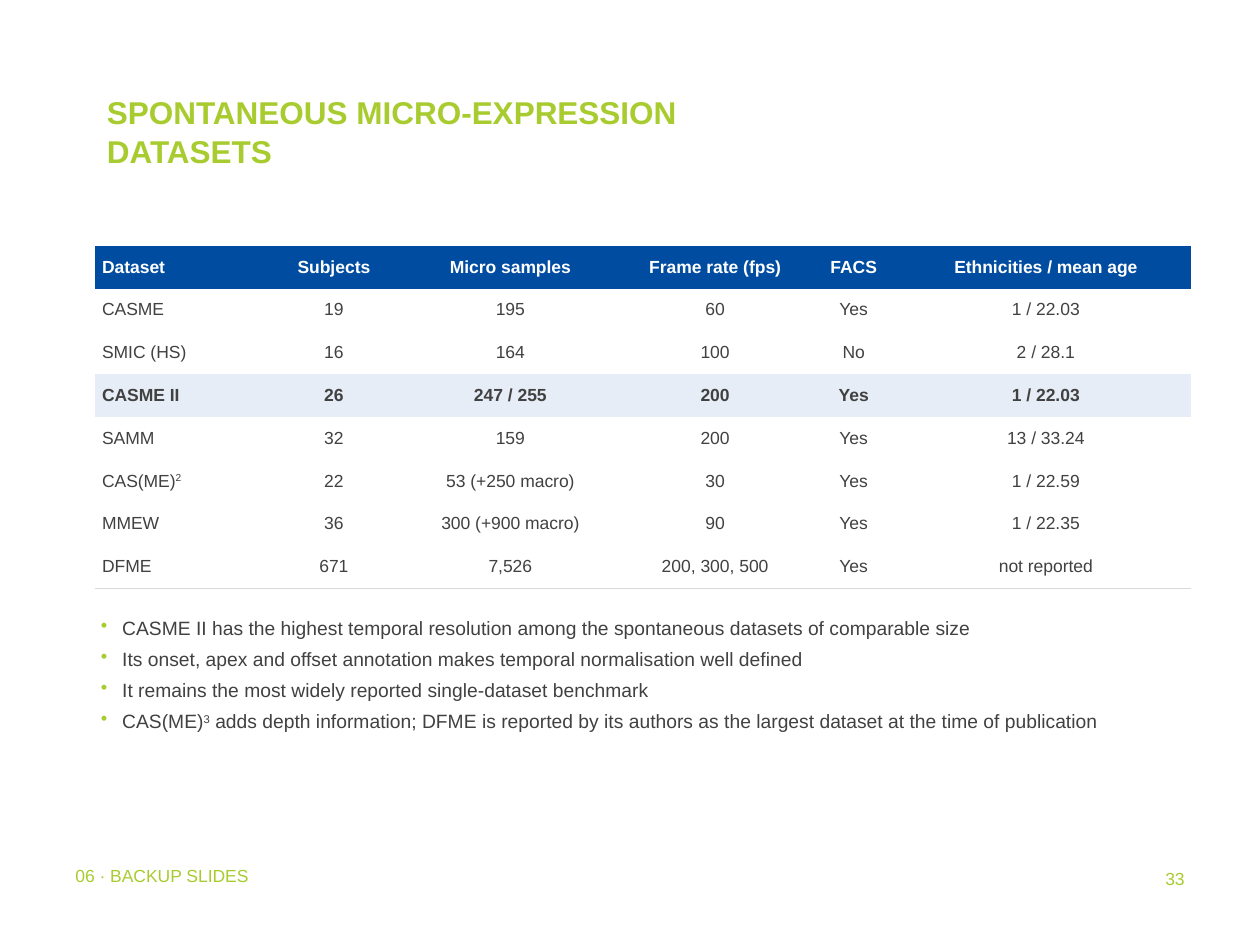
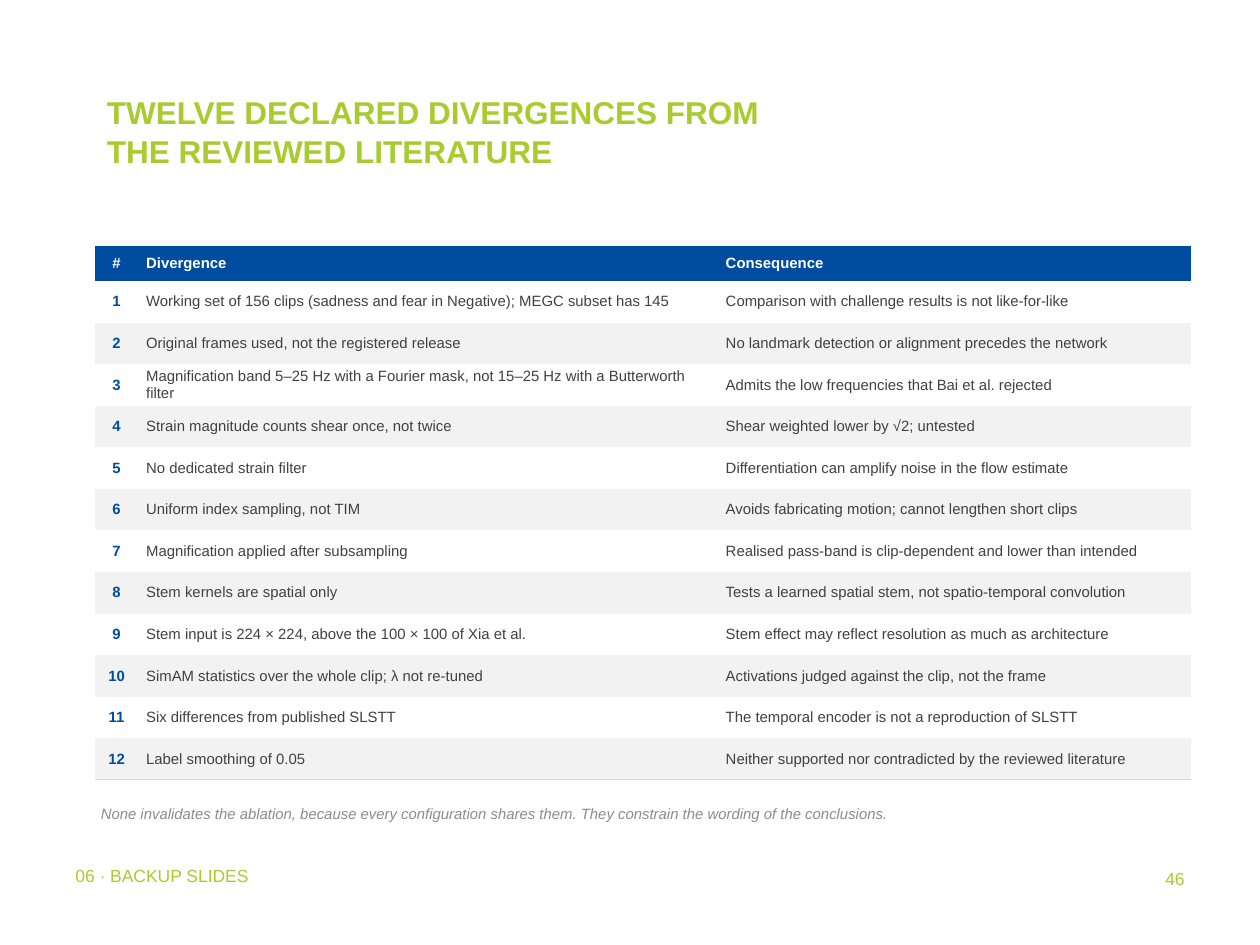
import pptx
import pptx.dml.color
import pptx.enum.text
import pptx.oxml
import pptx.oxml.ns
import pptx.util

Inches, Pt = pptx.util.Inches, pptx.util.Pt
ALIGN = {"l": pptx.enum.text.PP_ALIGN.LEFT,
         "c": pptx.enum.text.PP_ALIGN.CENTER,
         "r": pptx.enum.text.PP_ALIGN.RIGHT}
MIDDLE = pptx.enum.text.MSO_ANCHOR.MIDDLE

FONT = "Arial"
GREEN, BLUE, INK, GREY = "A8CC2F", "004CA0", "414141", "8C8C8C"
WHITE, HIGHLIGHT, BAND, RULE = "FFFFFF", "E6EDF6", "F2F2F2", "D9D9D9"
PLAIN_TABLE = "{2D5ABB26-0587-4C30-8999-92F81FD0307C}"

LEFT, WIDTH, TABLE_TOP = 0.75, 8.7, 1.95
FOOTER = "06 · BACKUP SLIDES"

# A tuple holds the runs of one paragraph; a run that starts with ^ is raised.
DATASETS = {
    "title": "SPONTANEOUS MICRO-EXPRESSION DATASETS",
    "page": "33",
    "cols": [1.4, 1, 1.8, 1.45, 0.75, 2.3],
    "aligns": "lccccc",
    "rows": [
        ("Dataset", "Subjects", "Micro samples", "Frame rate (fps)", "FACS",
         "Ethnicities / mean age"),
        ("CASME", "19", "195", "60", "Yes", "1 / 22.03"),
        ("SMIC (HS)", "16", "164", "100", "No", "2 / 28.1"),
        ("CASME II", "26", "247 / 255", "200", "Yes", "1 / 22.03"),
        ("SAMM", "32", "159", "200", "Yes", "13 / 33.24"),
        (("CAS(ME)", "^2"), "22", "53 (+250 macro)", "30", "Yes", "1 / 22.59"),
        ("MMEW", "36", "300 (+900 macro)", "90", "Yes", "1 / 22.35"),
        ("DFME", "671", "7,526", "200, 300, 500", "Yes", "not reported"),
    ],
    "notes": [
        "CASME II has the highest temporal resolution among the spontaneous "
        "datasets of comparable size",
        "Its onset, apex and offset annotation makes temporal normalisation well defined",
        "It remains the most widely reported single-dataset benchmark",
        ("CAS(ME)", "^3", " adds depth information; DFME is reported by its authors "
                          "as the largest dataset at the time of publication"),
    ],
}
CHOSEN_DATASET = "CASME II"

DIVERGENCES = {
    "title": "TWELVE DECLARED DIVERGENCES FROM THE REVIEWED LITERATURE",
    "page": "46",
    "cols": [0.35, 4.6, 3.75],
    "aligns": "cll",
    "head": ("#", "Divergence", "Consequence"),
    "items": [
        ("Working set of 156 clips (sadness and fear in Negative); MEGC subset has 145",
         "Comparison with challenge results is not like-for-like"),
        ("Original frames used, not the registered release",
         "No landmark detection or alignment precedes the network"),
        ("Magnification band 5–25 Hz with a Fourier mask, not 15–25 Hz with a "
         "Butterworth filter",
         "Admits the low frequencies that Bai et al. rejected"),
        ("Strain magnitude counts shear once, not twice",
         "Shear weighted lower by √2; untested"),
        ("No dedicated strain filter",
         "Differentiation can amplify noise in the flow estimate"),
        ("Uniform index sampling, not TIM",
         "Avoids fabricating motion; cannot lengthen short clips"),
        ("Magnification applied after subsampling",
         "Realised pass-band is clip-dependent and lower than intended"),
        ("Stem kernels are spatial only",
         "Tests a learned spatial stem, not spatio-temporal convolution"),
        ("Stem input is 224 × 224, above the 100 × 100 of Xia et al.",
         "Stem effect may reflect resolution as much as architecture"),
        ("SimAM statistics over the whole clip; λ not re-tuned",
         "Activations judged against the clip, not the frame"),
        ("Six differences from published SLSTT",
         "The temporal encoder is not a reproduction of SLSTT"),
        ("Label smoothing of 0.05",
         "Neither supported nor contradicted by the reviewed literature"),
    ],
    "note": "None invalidates the ablation, because every configuration shares them. "
            "They constrain the wording of the conclusions.",
}


def rgb(color):
    return pptx.dml.color.RGBColor.from_string(color)


def xml(tag, body="", attrs=""):
    ns = pptx.oxml.ns.nsdecls("a")
    return pptx.oxml.parse_xml(f"<a:{tag} {ns} {attrs}>{body}</a:{tag}>")


def solid(color):
    return f'<a:solidFill><a:srgbClr val="{color}"/></a:solidFill>'


def add_bullet(p):
    pPr = p._p.get_or_add_pPr()
    pPr.set("marL", str(Inches(0.17)))
    pPr.set("indent", str(-Inches(0.17)))
    pPr.append(xml("buClr", f'<a:srgbClr val="{GREEN}"/>'))
    pPr.append(xml("buChar", attrs='char="•"'))


def write(tf, *paragraphs, size=10, color=INK, bold=False, italic=False,
          align="l", spacing=None, after=None, bullet=False):
    for i, runs in enumerate(paragraphs):
        p = tf.add_paragraph() if i else tf.paragraphs[0]
        if bullet:
            add_bullet(p)
        p.alignment = ALIGN[align]
        p.line_spacing = spacing
        if after is not None:
            p.space_after = Pt(after)
        for text in (runs,) if isinstance(runs, str) else runs:
            r = p.add_run()
            r.text = text.removeprefix("^")
            if text.startswith("^"):
                r._r.get_or_add_rPr().set("baseline", "30000")
            r.font.name, r.font.size = FONT, Pt(size)
            r.font.bold, r.font.italic = bold, italic
            r.font.color.rgb = rgb(color)


def add_text(s, box, *paragraphs, inset=(0.1, 0.05), **fmt):
    tf = s.shapes.add_textbox(*map(Inches, box)).text_frame
    tf.word_wrap = True
    tf.margin_left = tf.margin_right = Inches(inset[0])
    tf.margin_top = tf.margin_bottom = Inches(inset[1])
    write(tf, *paragraphs, spacing=1.05, **fmt)


def add_slide(prs, title, page):
    """Add a slide with its title, section footer and page number."""
    s = prs.slides.add_slide(prs.slide_layouts[6])
    add_text(s, (LEFT, 0.67, 5.42, 1.25), title, size=18, color=GREEN, bold=True)
    add_text(s, (0.5, 6.83, 5.67, 0.4), FOOTER, inset=(0.1, 0.03), color=GREEN)
    add_text(s, (7.42, 6.83, 2.08, 0.5), page, color=GREEN, align="r")
    return s


def add_table(s, rows, cols, heights, aligns, size, row_fill, cell_format):
    """row_fill(i) and cell_format(i, j) style the rows below the header."""
    frame = s.shapes.add_table(len(rows), len(cols), Inches(LEFT), Inches(TABLE_TOP),
                               Inches(WIDTH), Inches(sum(heights)))
    table = frame.table
    table.horz_banding = False
    for style in frame._element.iter(pptx.oxml.ns.qn("a:tableStyleId")):
        style.text = PLAIN_TABLE
    for column, width in zip(table.columns, cols):
        column.width = Inches(width)
    for i, row in enumerate(rows):
        table.rows[i].height = Inches(heights[i])
        for j, text in enumerate(row):
            cell = table.cell(i, j)
            cell.margin_left = cell.margin_right = Inches(0.06)
            cell.margin_top = cell.margin_bottom = Inches(0.02)
            cell.vertical_anchor = MIDDLE
            cell.fill.solid()
            cell.fill.fore_color.rgb = rgb(row_fill(i) if i else BLUE)
            fmt = cell_format(i, j) if i else {"color": WHITE, "bold": True}
            write(cell.text_frame, text, size=size, align=aligns[j], **fmt)
            if i == len(rows) - 1:
                line = xml("lnB", solid(RULE), f'w="{Pt(0.75)}"')
                cell._tc.get_or_add_tcPr().insert(0, line)


def build_datasets(prs):
    d = DATASETS
    rows = d["rows"]
    s = add_slide(prs, d["title"], d["page"])

    def chosen(i):
        return rows[i][0] == CHOSEN_DATASET

    add_table(s, rows, d["cols"], [0.34] * len(rows), d["aligns"], 10,
              lambda i: HIGHLIGHT if chosen(i) else WHITE,
              lambda i, j: {"bold": chosen(i)})
    add_text(s, (LEFT, 4.85, WIDTH, 1.6), *d["notes"], inset=(0.05, 0.03),
             size=11, after=4, bullet=True)


def build_divergences(prs):
    d = DIVERGENCES
    rows = [d["head"]] + [(str(n), *item) for n, item in enumerate(d["items"], 1)]
    s = add_slide(prs, d["title"], d["page"])
    add_table(s, rows, d["cols"], [0.28] + [0.33] * len(d["items"]), d["aligns"], 8.5,
              lambda i: WHITE if i % 2 else BAND,
              lambda i, j: {} if j else {"color": BLUE, "bold": True})
    add_text(s, (LEFT, 6.35, WIDTH, 0.3), d["note"], inset=(0.05, 0.03),
             size=8.5, color=GREY, italic=True, after=3)


def main():
    prs = pptx.Presentation()
    prs.slide_width, prs.slide_height = Inches(10), Inches(7.5)
    build_datasets(prs)
    build_divergences(prs)
    prs.save("out.pptx")


if __name__ == "__main__":
    main()
